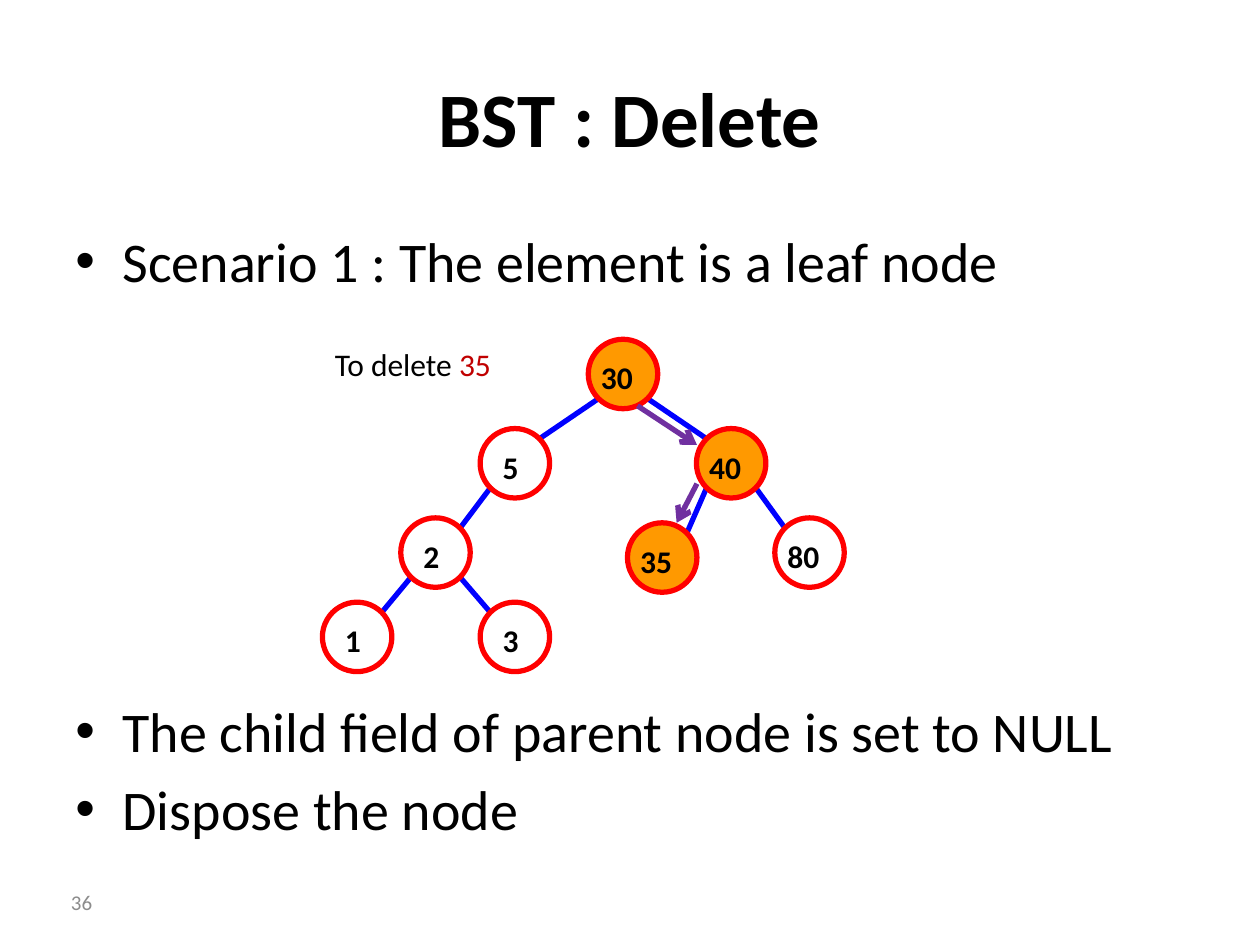
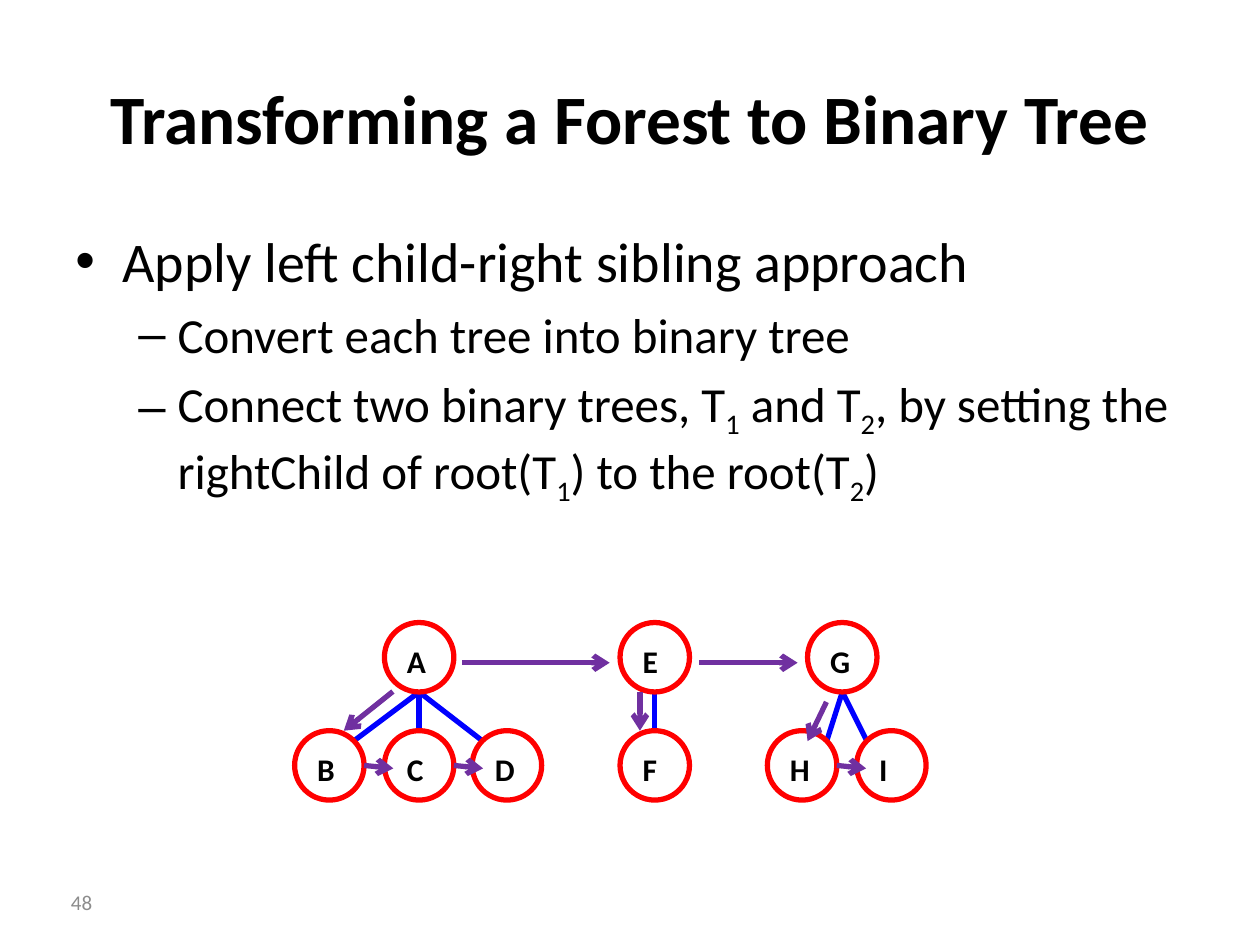
"""Builds two lecture slides about binary search trees and forests."""
from lxml import etree
from pptx import Presentation
from pptx import util as u
from pptx.dml.color import RGBColor
from pptx.enum import shapes, text
from pptx.oxml import ns

BLACK, GREY, DARK_RED = "000000", "8C8C8C", "C00000"
RED, BLUE, PURPLE, ORANGE = "FF0000", "0000FF", "7030A0", "FF9900"
FONT = "Calibri"
DIAMETER = 1.4
RADIUS = DIAMETER / 2
CORNER = RADIUS * 0.71
LEVELS = [(32, 0.95, -0.95, "•"), (28, 2.06, -0.79, "–")]
GAP = 5.8
TITLE_BOX = (1.27, 0.76, 22.86, 3.18)
BODY_BOX = (1.27, 4.45, 22.86, 13.2)
NOTE_BOX = (6.5, 6.83, 4.2, 1.02)
NUMBER_BOX = (0, 17.68, 2.11, 1.02)


def add_run(paragraph, words, size, colour=BLACK, bold=False):
    run = paragraph.add_run()
    run.text = words
    run.font.name = FONT
    run.font.size = u.Pt(size)
    run.font.bold = bold
    run.font.color.rgb = RGBColor.from_string(colour)
    return run


def add_line(slide, ends, colour, arrow=False):
    line = slide.shapes.add_connector(
        shapes.MSO_CONNECTOR.STRAIGHT, *[u.Cm(value) for value in ends])
    line.line.color.rgb = RGBColor.from_string(colour)
    line.line.width = u.Pt(3)
    if arrow:
        etree.SubElement(line.line._get_or_add_ln(), ns.qn("a:tailEnd"), type="arrow")
    etree.SubElement(line._element.spPr, ns.qn("a:effectLst"))


pages = [
    {
        "title": ("BST : Delete", 44),
        "number": "36",
        "body": [
            (0, 0, ["Scenario 1 : The element is a leaf node"]),
            (0, 230, ["The child field of parent node is set to NULL"]),
            (0, GAP, ["Dispose the node"]),
        ],
        "note": [("To delete ", BLACK), ("35", DARK_RED)],
        "nodes": {
            "30": (12.56, 7.54), "5": (10.38, 9.34), "40": (14.74, 9.34),
            "2": (8.78, 11.14), "35": (13.35, 11.24), "80": (16.32, 11.14),
            "1": (7.2, 12.84), "3": (10.38, 12.84),
        },
        "visited": ["30", "40", "35"],
        "children": {"30": ["5", "40"], "5": ["2"], "40": ["35", "80"], "2": ["1", "3"]},
        "fan": False,
        "arrows": [(12.85, 8.18, 14.05, 8.97), (14.05, 9.75, 13.64, 10.54)],
        "siblings": [],
    },
    {
        "title": ("Transforming a Forest to Binary Tree", 39.6),
        "number": "48",
        "body": [
            (0, 0, ["Apply left child-right sibling approach"]),
            (1, GAP, ["Convert each tree into binary tree"]),
            (1, GAP, ["Connect two binary trees, T", "1", " and T", "2",
                      ", by setting the rightChild of root(T", "1",
                      ") to the root(T", "2", ")"]),
        ],
        "note": [],
        "nodes": {
            "A": (8.45, 13.25), "E": (13.2, 13.25), "G": (16.98, 13.25),
            "B": (6.64, 15.43), "C": (8.45, 15.43), "D": (10.22, 15.43),
            "F": (13.2, 15.43), "H": (16.17, 15.43), "I": (17.97, 15.43),
        },
        "visited": [],
        "children": {"A": ["B", "C", "D"], "E": ["F"], "G": ["H", "I"]},
        "fan": True,
        "arrows": [
            (9.32, 13.36, 12.29, 13.36), (14.1, 13.36, 16.08, 13.36),
            (7.92, 13.94, 6.93, 14.73), (12.9, 13.94, 12.9, 14.73),
            (16.66, 14.15, 16.28, 14.94),
        ],
        "siblings": ["B", "C", "H"],
    },
]

presentation = Presentation()
presentation.slide_width = u.Cm(25.4)
presentation.slide_height = u.Cm(19.05)

for page in pages:
    slide = presentation.slides.add_slide(presentation.slide_layouts[6])

    words, size = page["title"]
    single_lines = [
        (TITLE_BOX, text.PP_ALIGN.CENTER, size, True, [(words, BLACK)]),
        (NUMBER_BOX, text.PP_ALIGN.RIGHT, 12, False, [(page["number"], GREY)]),
    ]
    if page["note"]:
        single_lines.append((NOTE_BOX, text.PP_ALIGN.LEFT, 18, False, page["note"]))
    for box, alignment, size, bold, runs in single_lines:
        frame = slide.shapes.add_textbox(*[u.Cm(value) for value in box]).text_frame
        frame.word_wrap = True
        frame.vertical_anchor = text.MSO_ANCHOR.MIDDLE
        paragraph = frame.paragraphs[0]
        paragraph.alignment = alignment
        for words, colour in runs:
            add_run(paragraph, words, size, colour, bold)

    frame = slide.shapes.add_textbox(*[u.Cm(value) for value in BODY_BOX]).text_frame
    frame.word_wrap = True
    for index, (level, space, runs) in enumerate(page["body"]):
        paragraph = frame.add_paragraph() if index else frame.paragraphs[0]
        size, margin, indent, bullet = LEVELS[level]
        paragraph.level = level
        paragraph.space_before = u.Pt(space)
        properties = paragraph._p.get_or_add_pPr()
        properties.set("marL", str(u.Cm(margin)))
        properties.set("indent", str(u.Cm(indent)))
        etree.SubElement(properties, ns.qn("a:buFont"), typeface="Arial")
        etree.SubElement(properties, ns.qn("a:buChar"), char=bullet)
        for words in runs:
            run = add_run(paragraph, words, size)
            if words.isdigit():
                run._r.get_or_add_rPr().set("baseline", "-25000")

    nodes = page["nodes"]
    for parent, children in page["children"].items():
        parent_x, parent_y = nodes[parent]
        for child in children:
            x, y = nodes[child]
            side = (x > parent_x) - (x < parent_x)
            rise = CORNER if side else RADIUS
            if page["fan"]:
                start = (parent_x, parent_y + RADIUS)
            else:
                start = (parent_x + side * CORNER, parent_y + CORNER)
            add_line(slide, (*start, x - side * CORNER, y - rise), BLUE)

    for name, (x, y) in nodes.items():
        circle = slide.shapes.add_shape(
            shapes.MSO_SHAPE.OVAL, u.Cm(x - RADIUS), u.Cm(y - RADIUS),
            u.Cm(DIAMETER), u.Cm(DIAMETER))
        circle.shadow.inherit = False
        circle.line.color.rgb = RGBColor.from_string(RED)
        circle.line.width = u.Pt(3)
        if name in page["visited"]:
            circle.fill.solid()
            circle.fill.fore_color.rgb = RGBColor.from_string(ORANGE)
        else:
            circle.fill.background()
        frame = circle.text_frame
        frame.margin_left = u.Cm(0.05 if len(name) > 1 else 0.25)
        frame.margin_top = u.Cm(0.13)
        frame.margin_right = frame.margin_bottom = 0
        frame.vertical_anchor = text.MSO_ANCHOR.MIDDLE
        frame.paragraphs[0].alignment = text.PP_ALIGN.LEFT
        add_run(frame.paragraphs[0], name, 18, BLACK, True)

    for ends in page["arrows"]:
        add_line(slide, ends, PURPLE, True)
    for name in page["siblings"]:
        x, y = nodes[name]
        add_line(slide, (x + RADIUS, y, x + RADIUS + 0.59, y + 0.06), PURPLE, True)

presentation.save("out.pptx")
